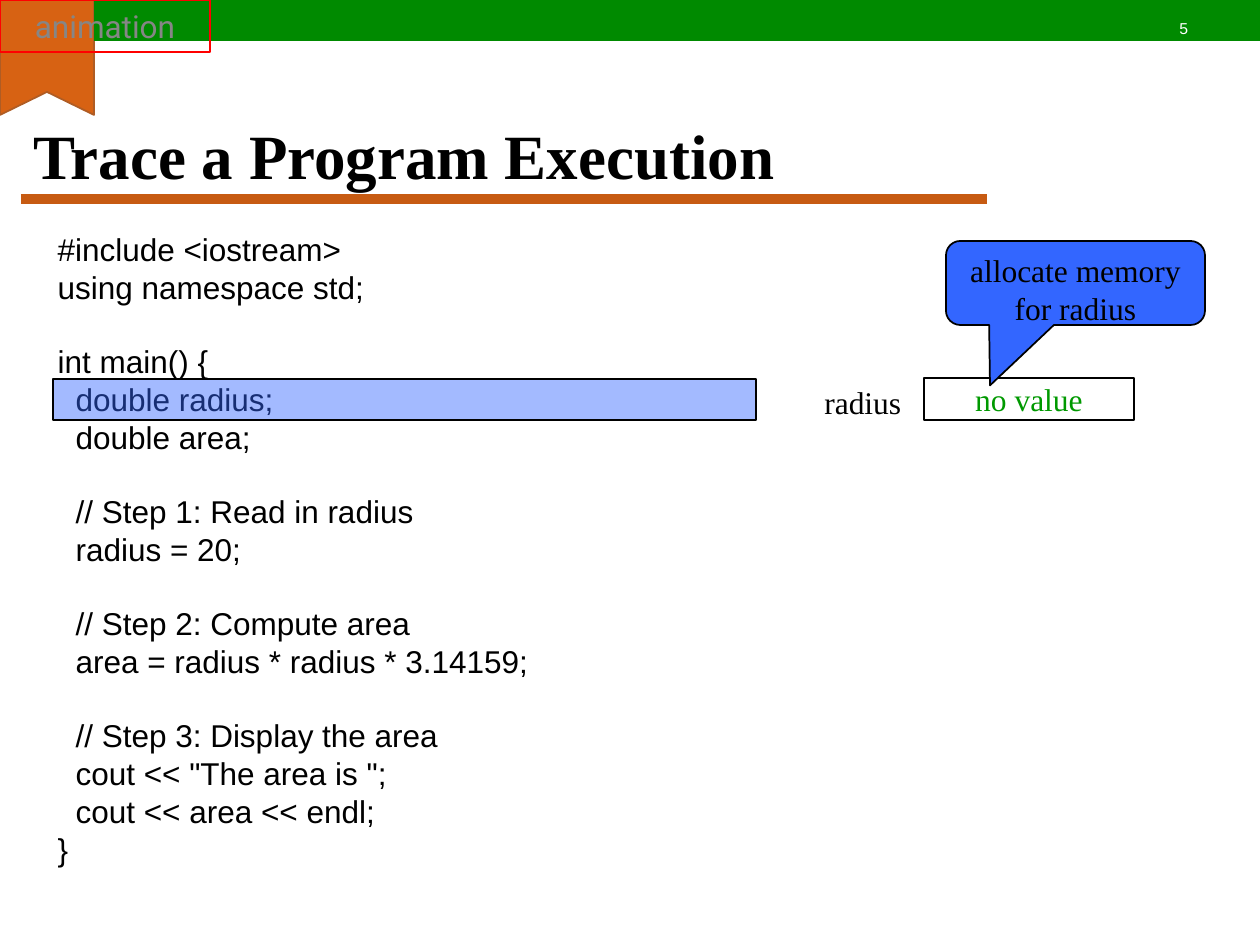
from dataclasses import dataclass

from lxml import etree
from pptx import Presentation
from pptx.dml.color import RGBColor
from pptx.enum.shapes import MSO_CONNECTOR as Connector, MSO_SHAPE as Shape
from pptx.enum.text import MSO_ANCHOR as Anchor, MSO_AUTO_SIZE as AutoSize, PP_ALIGN as Align
from pptx.oxml.ns import qn
from pptx.util import Emu, Pt

# Content
TITLE = "Trace a Program Execution"
PAGE_NUMBER = "5"
CODE_BLOCKS = [  # blocks of (indent level, code line)
    [(0, "#include <iostream>"), (0, "using namespace std;")],
    [(0, "int main() {"), (1, "double radius;"), (1, "double area;")],
    [(1, "// Step 1: Read in radius"), (1, "radius = 20;")],
    [(1, "// Step 2: Compute area"), (1, "area = radius * radius * 3.14159;")],
    [(1, "// Step 3: Display the area"), (1, 'cout << "The area is ";'),
     (1, "cout << area << endl;"), (0, "}")],
]


@dataclass(frozen=True)
class Theme:
    serif: str = "Times New Roman"
    sans: str = "Arial"
    label: str = "Roboto"
    title_size: int = 36
    text_size: int = 18
    number_size: int = 9
    black: str = "000000"
    white: str = "FFFFFF"
    band: str = "008A00"
    ribbon: str = "D76213"
    ribbon_edge: str = "AF5C24"
    rule: str = "C75B12"
    blue: str = "3366FF"
    value: str = "009900"
    red: str = "FF0000"
    gray: str = "868686"


THEME = Theme()
LINE_GAP = 4.3    # points before each code line
BLOCK_GAP = 25.2  # points before each new block of code
CODE_MARGIN, CODE_STEP = 14, 18


def px(length):
    return Emu(round(length * 914400 / 126))


def rgb(color):
    return RGBColor.from_string(color)


def paint(shape, fill=None, line=None, alpha=None):
    shape.shadow.inherit = False
    if fill:
        shape.fill.solid()
        shape.fill.fore_color.rgb = rgb(fill)
        if alpha:
            color = shape.fill._xPr.find(".//" + qn("a:srgbClr"))
            etree.SubElement(color, qn("a:alpha")).set("val", str(alpha * 1000))
    else:
        shape.fill.background()
    if line:
        shape.line.color.rgb = rgb(line)
        shape.line.width = Pt(1)
    else:
        shape.line.fill.background()


def add_box(page, kind, area, **style):
    shape = page.shapes.add_shape(kind, *map(px, area))
    paint(shape, **style)
    return shape


def add_span(para, text, font, size, color, bold=False):
    span = para.add_run()
    span.text = text
    span.font.name = font
    span.font.size = Pt(size)
    span.font.bold = bold
    span.font.color.rgb = rgb(color)


def write(shape, text, font, size, color, align=Align.CENTER, anchor=Anchor.MIDDLE,
          wrap=True, inset=None, bold=False):
    frame = shape.text_frame
    frame.word_wrap = wrap
    frame.auto_size = AutoSize.NONE
    frame.vertical_anchor = anchor
    if inset is not None:
        frame.margin_left = frame.margin_right = px(inset)
        frame.margin_top = frame.margin_bottom = px(inset)
    para = frame.paragraphs[0]
    para.alignment = align
    add_span(para, text, font, size, color, bold)


def place(shape, area):
    shape.left, shape.top, shape.width, shape.height = map(px, area)


def add_decoration(page):
    # Rule under the title
    rule = page.shapes.add_connector(Connector.STRAIGHT, px(21), px(199), px(987), px(199))
    rule.line.color.rgb = rgb(THEME.rule)
    rule.line.width = Pt(6)
    etree.SubElement(rule._element.spPr, qn("a:effectLst"))

    # Corner ribbon and top band
    outline = page.shapes.build_freeform(0, 0, scale=px(1))
    outline.add_line_segments([(94, 0), (94, 115), (47, 92), (0, 115)], close=True)
    paint(outline.convert_to_shape(), fill=THEME.ribbon, line=THEME.ribbon_edge)
    add_box(page, Shape.RECTANGLE, (94, 0, 1166, 41), fill=THEME.band)
    number = page.shapes.add_textbox(*map(px, (1167, 15, 76, 26)))
    write(number, PAGE_NUMBER, THEME.sans, THEME.number_size, THEME.white, align=Align.LEFT)


def add_code(body):
    place(body, (31, 231, 766, 714))
    frame = body.text_frame
    frame.auto_size = AutoSize.NONE
    frame.vertical_anchor = Anchor.TOP
    for block_index, block in enumerate(CODE_BLOCKS):
        for line_index, (level, code) in enumerate(block):
            first = block_index == line_index == 0
            para = frame.paragraphs[0] if first else frame.add_paragraph()
            para.line_spacing = 0.8
            para.space_before = Pt(BLOCK_GAP if block_index and not line_index else LINE_GAP)
            settings = para._p.get_or_add_pPr()
            settings.set("marL", str(px(CODE_MARGIN + level * CODE_STEP)))
            settings.set("indent", "0")
            etree.SubElement(settings, qn("a:buNone"))
            add_span(para, code, THEME.sans, THEME.text_size, THEME.black)


def add_trace(page):
    # Memory cell and its name
    cell = add_box(page, Shape.RECTANGLE, (924, 378, 210, 42), line=THEME.black)
    write(cell, "no value", THEME.serif, THEME.text_size, THEME.value, wrap=False, inset=1)
    name = page.shapes.add_textbox(*map(px, (812, 377, 116, 50)))
    write(name, "radius", THEME.serif, THEME.text_size, THEME.black, align=Align.LEFT)

    # Highlight on the current statement
    add_box(page, Shape.RECTANGLE, (53, 379, 703, 41),
            fill=THEME.blue, line=THEME.black, alpha=45)

    # Explanation
    callout = add_box(page, Shape.ROUNDED_RECTANGULAR_CALLOUT, (946, 241, 259, 84),
                      fill=THEME.blue, line=THEME.black)
    for index, value in enumerate((-0.33, 1.22, 0.17)):
        callout.adjustments[index] = value
    write(callout, "allocate memory for radius", THEME.serif, THEME.text_size, THEME.black,
          anchor=Anchor.TOP)

    # Animation tag
    tag = add_box(page, Shape.RECTANGLE, (0, 0, 210, 52), line=THEME.red)
    write(tag, "animation", THEME.label, THEME.text_size, THEME.gray, wrap=False)


def main():
    deck = Presentation()
    deck.slide_width, deck.slide_height = px(1260), px(945)
    page = deck.slides.add_slide(deck.slide_layouts[1])
    add_decoration(page)
    title = page.shapes.title
    place(title, (21, 118, 1071, 73))
    write(title, TITLE, THEME.serif, THEME.title_size, THEME.black, align=Align.LEFT, bold=True)
    add_code(page.placeholders[1])
    add_trace(page)
    deck.save("out.pptx")


if __name__ == "__main__":
    main()
